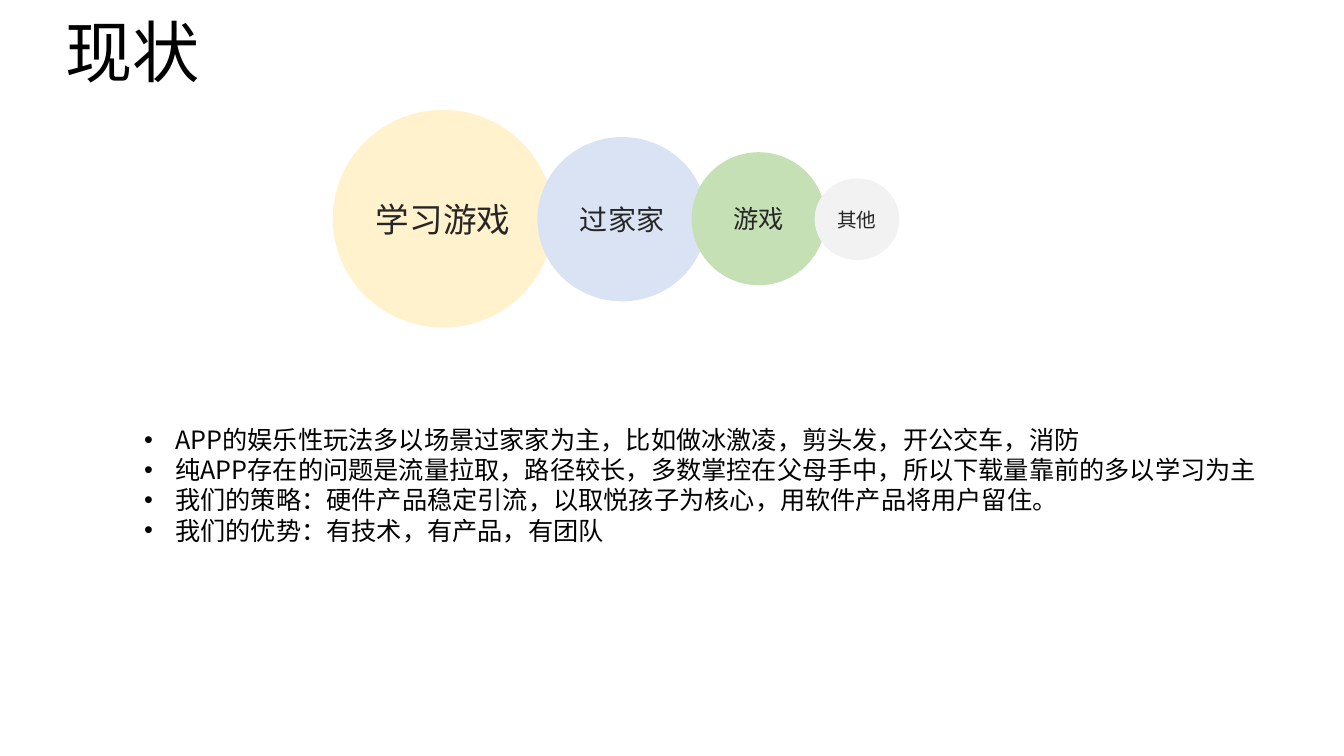
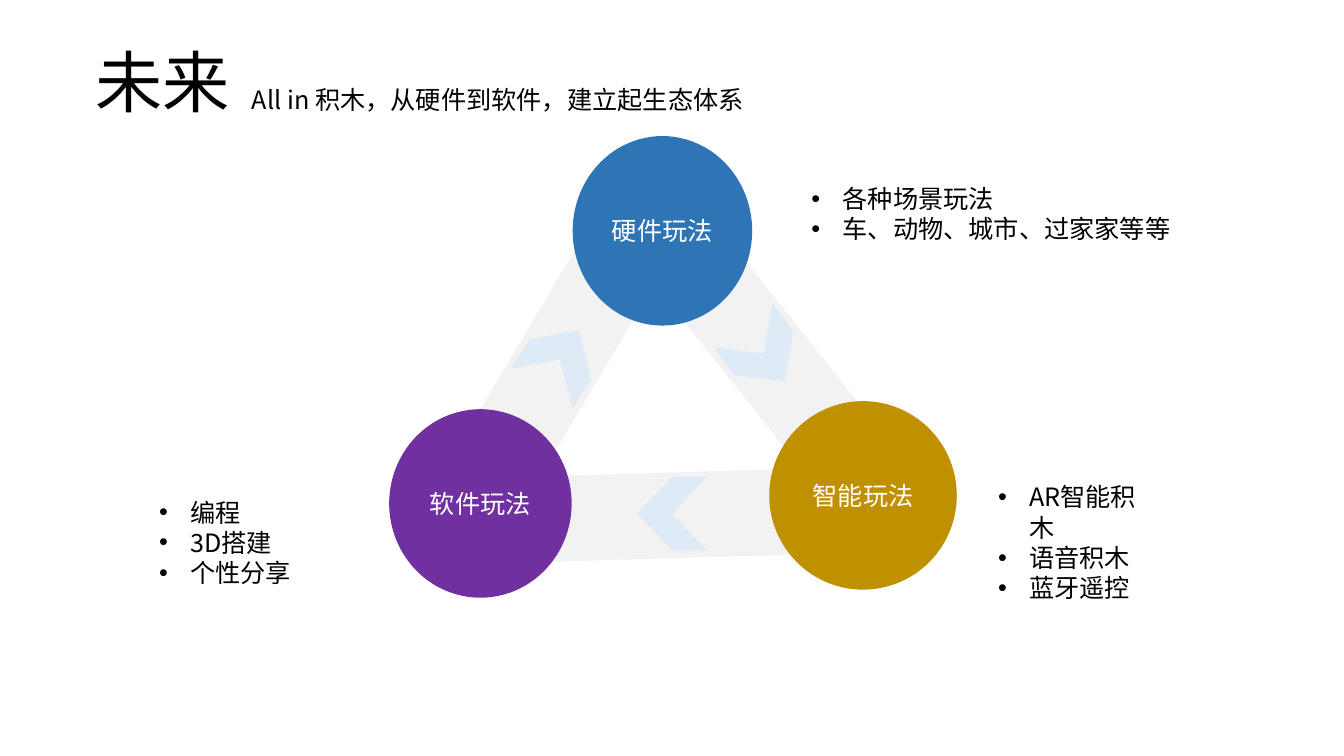
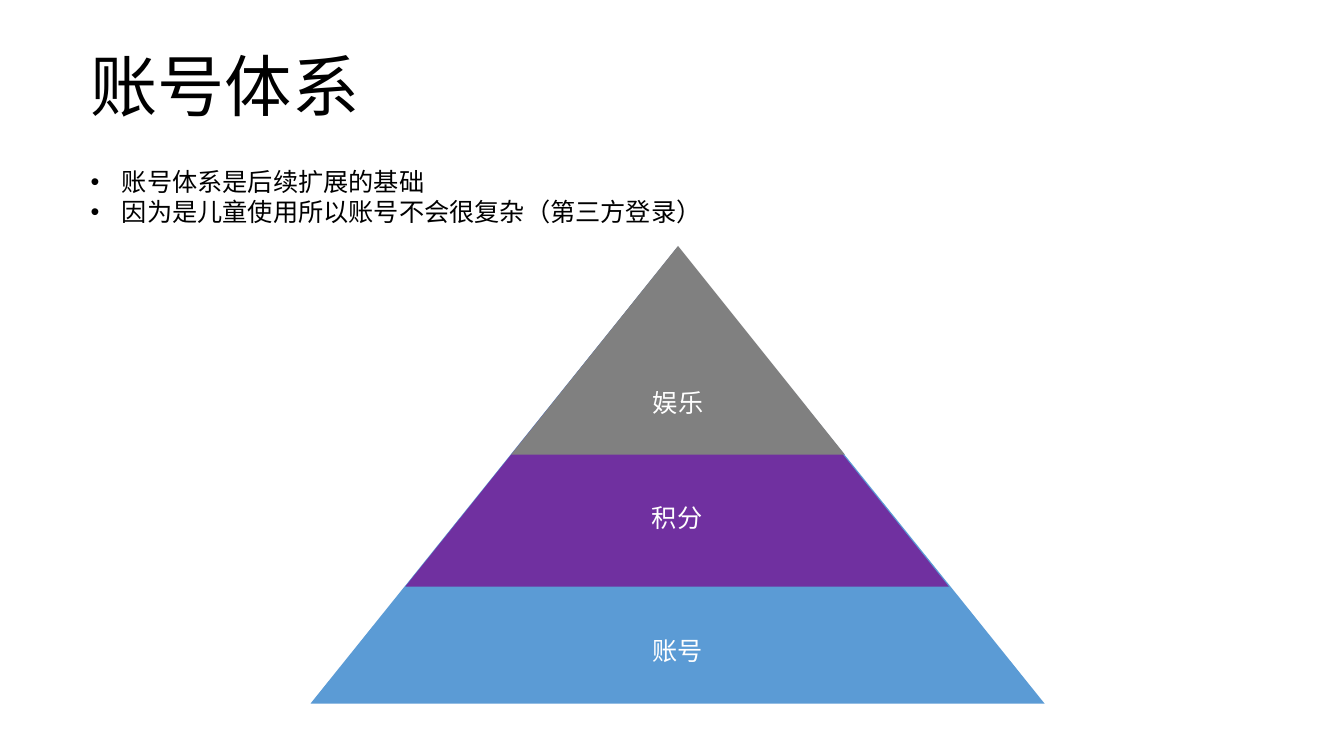
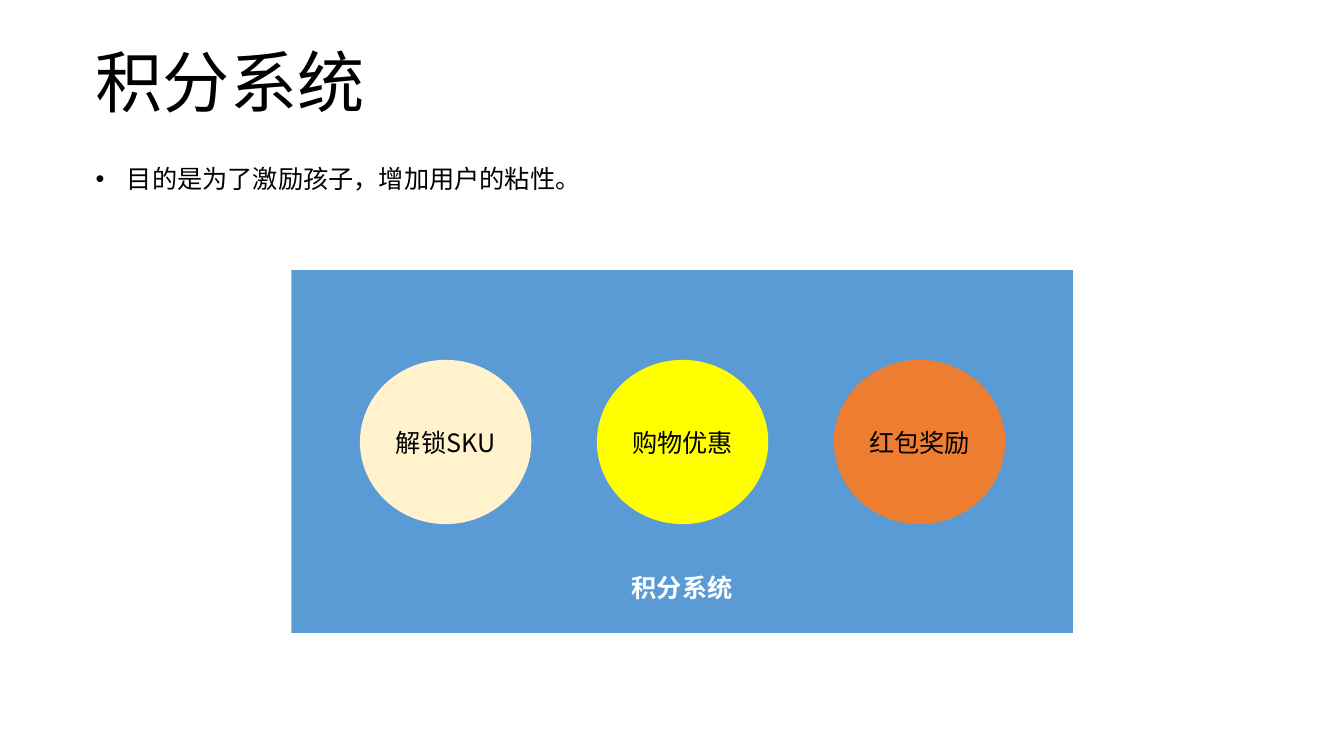
from dataclasses import dataclass

from lxml import etree
from pptx import Presentation
from pptx.dml.color import RGBColor
from pptx.enum.shapes import MSO_SHAPE
from pptx.enum.text import MSO_ANCHOR, PP_ALIGN
from pptx.oxml.ns import qn
from pptx.util import Emu, Pt

CIRCLE = MSO_SHAPE.FLOWCHART_CONNECTOR
RECTANGLE = MSO_SHAPE.RECTANGLE
TRIANGLE = MSO_SHAPE.ISOSCELES_TRIANGLE
CHEVRON = MSO_SHAPE.CHEVRON
CENTER = PP_ALIGN.CENTER
MIDDLE = MSO_ANCHOR.MIDDLE

EMU_PER_PX = 9144  # 100 px to the inch


@dataclass(frozen=True)
class Theme:
    font: str = "Noto Sans CJK SC"
    # type sizes
    title: int = 48
    large: int = 24
    medium: int = 20
    body: int = 18
    small: int = 14
    # colours
    ink: str = "000000"
    soft_ink: str = "262626"
    white: str = "FFFFFF"
    cream: str = "FFF2CC"
    pale_blue: str = "DAE3F3"
    ice: str = "DEEBF7"
    green: str = "C5E0B4"
    mist: str = "F2F2F2"
    blue: str = "5B9BD5"
    deep_blue: str = "2E75B6"
    purple: str = "7030A0"
    gold: str = "BF9000"
    gray: str = "808080"
    yellow: str = "FFFF00"
    orange: str = "ED7D31"


THEME = Theme()


def px(length):
    return Emu(length * EMU_PER_PX)


# ---- Elements ----

def style(paragraph, size, color, bold=False):
    font = paragraph.font
    font.name = THEME.font
    font.size = Pt(size)
    font.bold = bold
    font.color.rgb = RGBColor.from_string(color)
    east_asian = etree.SubElement(paragraph._p.pPr.find(qn("a:defRPr")), qn("a:ea"))
    east_asian.set("typeface", THEME.font)


def add_bullet(paragraph, indent=31):
    properties = paragraph._p.get_or_add_pPr()
    properties.set("marL", str(px(indent)))
    properties.set("indent", str(px(-indent)))
    bullet_font = etree.Element(qn("a:buFont"), typeface="Arial")
    bullet = etree.Element(qn("a:buChar"), char="•")
    properties.insert(0, bullet_font)
    properties.insert(1, bullet)


def add_text(slide, box, lines, size=THEME.body, bullets=False):
    frame = slide.shapes.add_textbox(*map(px, box)).text_frame
    frame.word_wrap = True
    for index, line in enumerate(lines):
        paragraph = frame.paragraphs[0] if index == 0 else frame.add_paragraph()
        paragraph.text = line
        style(paragraph, size, THEME.ink)
        if bullets:
            add_bullet(paragraph)


def add_title(slide, text, left, top):
    add_text(slide, (left, top, 21 + 67 * len(text), 91), [text], THEME.title)


def add_figure(slide, kind, box, fill, rotation=0):
    figure = slide.shapes.add_shape(kind, *map(px, box))
    figure.shadow.inherit = False
    figure.fill.solid()
    figure.fill.fore_color.rgb = RGBColor.from_string(fill)
    figure.line.fill.background()
    figure.rotation = rotation
    return figure


def add_labelled(slide, kind, box, fill, label, color=THEME.white,
                 size=THEME.body, drop=0, bold=False):
    """Draw a figure whose label sits `drop` px below its middle."""
    frame = add_figure(slide, kind, box, fill).text_frame
    frame.word_wrap = True
    frame.vertical_anchor = MIDDLE
    frame.margin_top = px(5 + 2 * drop)
    paragraph = frame.paragraphs[0]
    paragraph.text = label
    paragraph.alignment = CENTER
    style(paragraph, size, color, bold)


# ---- Slides ----

def build_status(slide):
    add_text(slide, (133, 416, 1125, 131), [
        "APP的娱乐性玩法多以场景过家家为主，比如做冰激凌，剪头发，开公交车，消防",
        "纯APP存在的问题是流量拉取，路径较长，多数掌控在父母手中，所以下载量靠前的多以学习为主",
        "我们的策略：硬件产品稳定引流，以取悦孩子为核心，用软件产品将用户留住。",
        "我们的优势：有技术，有产品，有团队",
    ], bullets=True)
    axis = 217
    for label, left, width, height, fill, size in (
        ("学习游戏", 330, 219, 216, THEME.cream, THEME.large),
        ("过家家", 533, 168, 163, THEME.pale_blue, THEME.medium),
        ("游戏", 686, 133, 132, THEME.green, THEME.body),
        ("其他", 808, 84, 81, THEME.mist, THEME.small),
    ):
        add_labelled(slide, CIRCLE, (left, axis - height // 2, width, height),
                     fill, label, THEME.soft_ink, size)
    add_title(slide, "现状", 55, 5)


def build_future(slide):
    # Links between the circles, each a band with a direction mark
    for band_at, band_turn, mark_at, mark_turn in (
        ((616, 389), 268.3, (632, 473), 180.2),
        ((721, 235), 141.5, (723, 314), 53.3),
        ((517, 227), 30.7, (521, 320), 302.5),
    ):
        add_figure(slide, RECTANGLE, (*band_at, 85, 245), THEME.mist, band_turn)
        add_figure(slide, CHEVRON, (*mark_at, 69, 73), THEME.ice, mark_turn)

    add_title(slide, "未来", 85, 35)
    add_text(slide, (240, 79, 538, 40), ["All in 积木，从硬件到软件，建立起生态体系"])

    # Ways to play, each with its notes
    for label, circle, fill, notes_box, notes in (
        ("软件玩法", (386, 406, 181, 187), THEME.purple,
         (148, 488, 153, 131), ["编程", "3D搭建", "个性分享"]),
        ("硬件玩法", (568, 135, 178, 188), THEME.deep_blue,
         (795, 177, 380, 71), ["各种场景玩法", "车、动物、城市、过家家等等"]),
        ("智能玩法", (763, 398, 186, 187), THEME.gold,
         (980, 473, 178, 131), ["AR智能积木", "语音积木", "蓝牙遥控"]),
    ):
        add_labelled(slide, CIRCLE, circle, fill, label)
        add_text(slide, notes_box, notes, bullets=True)


def build_accounts(slide):
    add_title(slide, "账号体系", 80, 39)
    # Pyramid levels, the widest at the back
    for label, box, fill, drop in (
        ("账号", (308, 245, 728, 453), THEME.blue, 61),
        ("积分", (402, 246, 539, 336), THEME.purple, 15),
        ("娱乐", (507, 244, 331, 207), THEME.gray, 0),
    ):
        add_labelled(slide, TRIANGLE, box, fill, label, drop=drop)
    add_text(slide, (80, 160, 632, 71), [
        "账号体系是后续扩展的基础",
        "因为是儿童使用所以账号不会很复杂（第三方登录）",
    ], bullets=True)


def build_points(slide):
    add_title(slide, "积分系统", 85, 35)
    add_text(slide, (85, 157, 506, 40),
             ["目的是为了激励孩子，增加用户的粘性。"], bullets=True)
    add_labelled(slide, RECTANGLE, (289, 268, 775, 360), THEME.blue,
                 "积分系统", drop=135, bold=True)
    rewards = (("解锁SKU", THEME.cream), ("购物优惠", THEME.yellow),
               ("红包奖励", THEME.orange))
    for index, (label, fill) in enumerate(rewards):
        add_labelled(slide, CIRCLE, (357 + 235 * index, 357, 170, 163),
                     fill, label, THEME.ink)


def main():
    deck = Presentation()
    deck.slide_width, deck.slide_height = px(1333), px(750)
    blank = deck.slide_layouts[6]
    for build in (build_status, build_future, build_accounts, build_points):
        build(deck.slides.add_slide(blank))
    deck.save("out.pptx")


if __name__ == "__main__":
    main()
